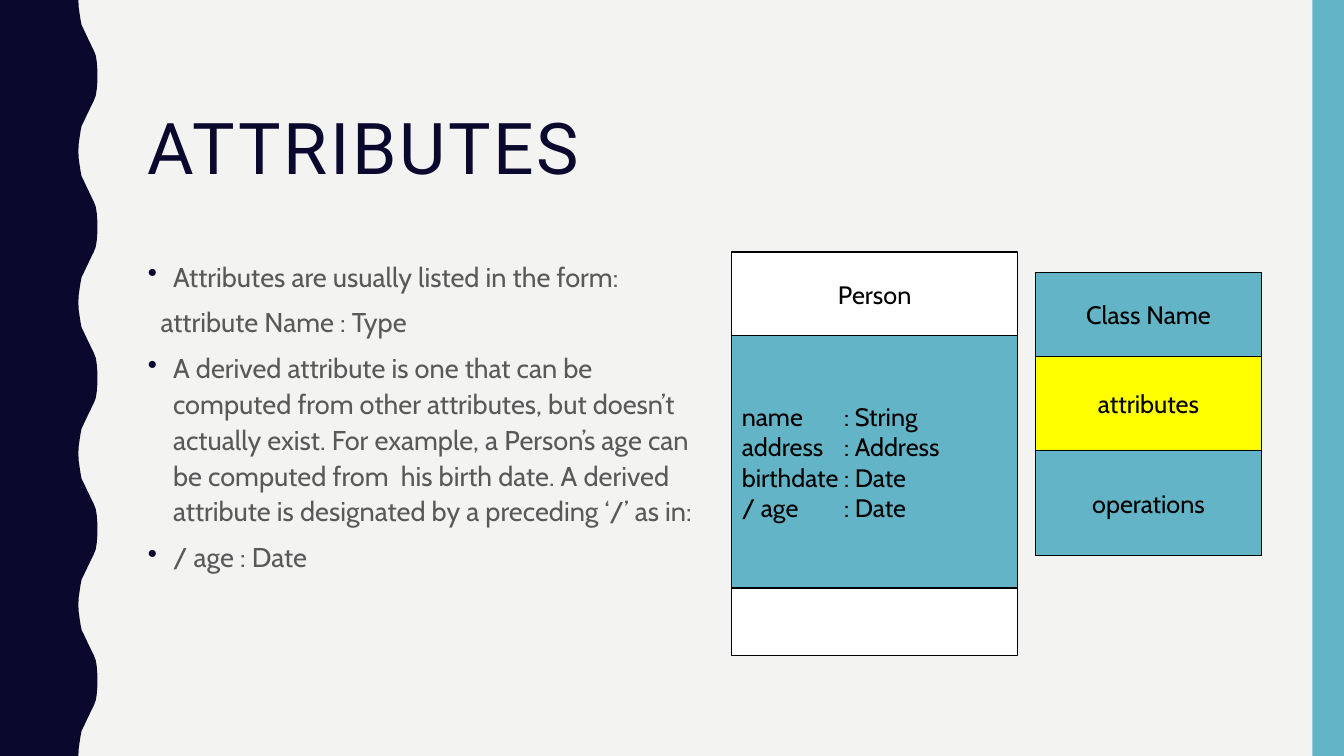
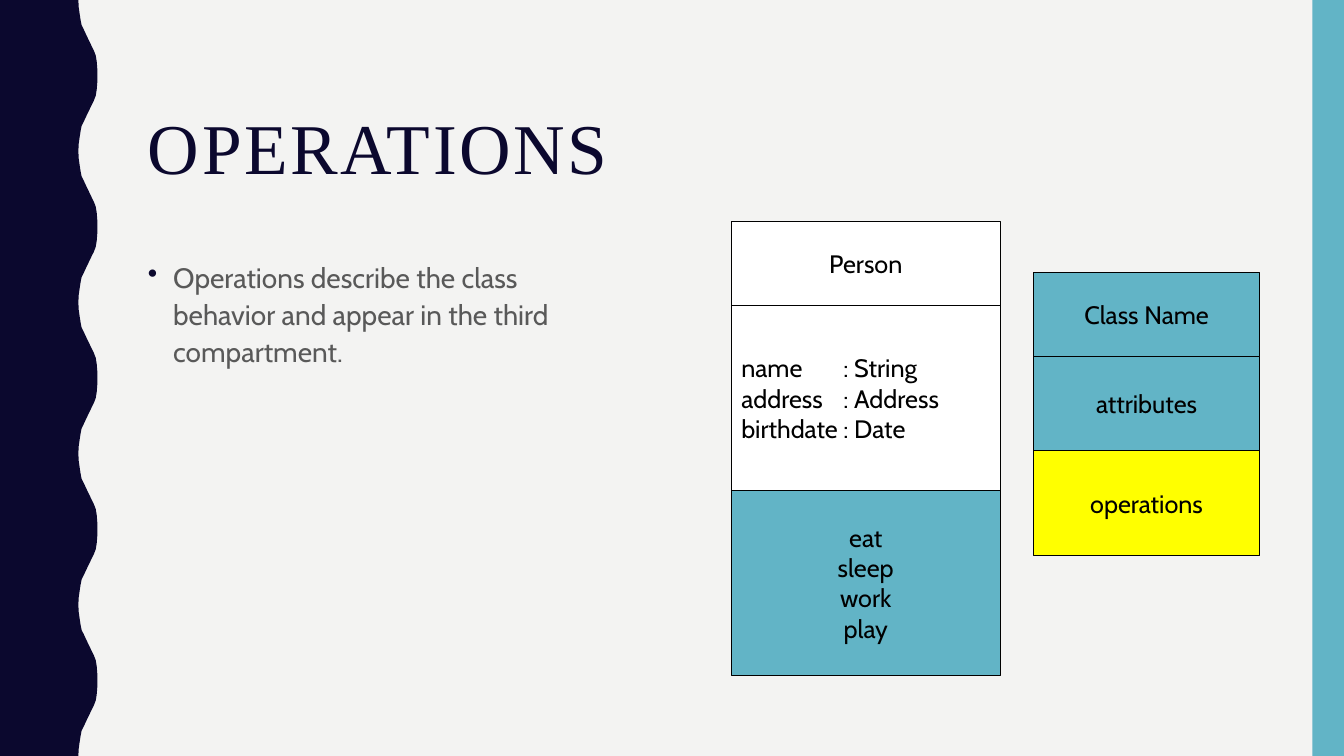
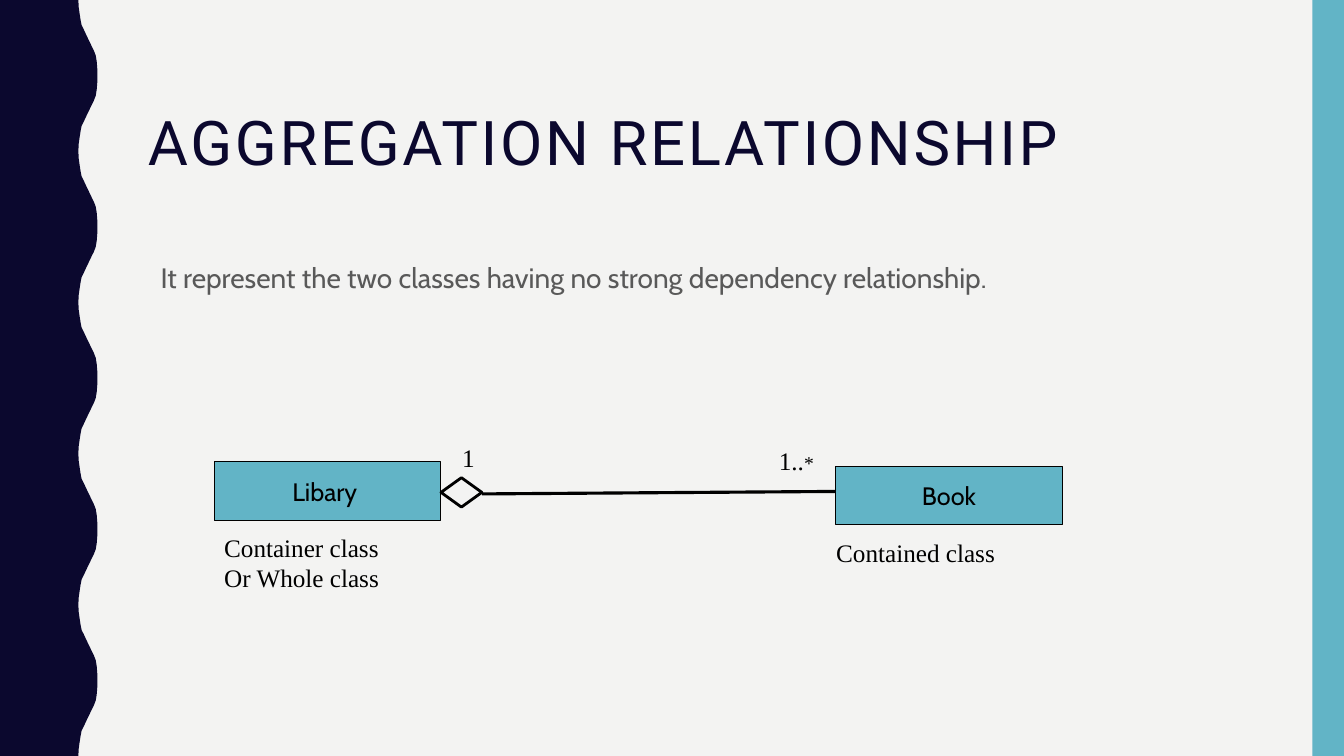
import pptx
import pptx.dml.color
import pptx.enum.shapes
import pptx.enum.text
import pptx.oxml.ns
import pptx.util
from lxml import etree

Pt = pptx.util.Pt
SHAPE = pptx.enum.shapes.MSO_SHAPE
ALIGN = pptx.enum.text.PP_ALIGN
ANCHOR = pptx.enum.text.MSO_ANCHOR

COLORS = {
    "background": "F3F3F2",
    "navy": "0B082E",
    "teal": "62B4C6",
    "yellow": "FFFF00",
    "white": "FFFFFF",
    "black": "000000",
    "gray": "595959",
}
WIDTH, HEIGHT = 960, 540
MARGIN = 98.6
BODY_TOP = 180
WAVE_PERIOD = 108
# Half a wave, from trough to crest, as (x, y)
WAVE_RISE = [
    (56, 0), (56.2, 5), (56.9, 10), (57.6, 14.4), (58.3, 18), (59.8, 21),
    (61.2, 24), (62.6, 27), (64.1, 30), (65.5, 33), (67, 36), (68.4, 39.6),
    (69.1, 43.9), (69.5, 49), (69.6, 54),
]
ATTRIBUTES = ["name\t: String", "address\t: Address", "birthdate\t: Date"]


def color(name):
    return pptx.dml.color.RGBColor.from_string(COLORS[name])


def add_element(parent, tag, **attributes):
    element = etree.SubElement(parent, pptx.oxml.ns.qn(tag))
    for key, value in attributes.items():
        element.set(key, str(value))
    return element


class Deck:
    def __init__(self):
        self.presentation = pptx.Presentation()
        self.presentation.slide_width = Pt(WIDTH)
        self.presentation.slide_height = Pt(HEIGHT)
        self.slide = None

    def new_slide(self, title, size=51, font="Roboto"):
        self.slide = self.presentation.slides.add_slide(self.presentation.slide_layouts[6])
        fill = self.slide.background.fill
        fill.solid()
        fill.fore_color.rgb = color("background")
        self.wave()
        self.box(self.slide.shapes, 937.5, 0, 22.5, HEIGHT, "teal", line_width=0)
        frame = self.text_frame(MARGIN, 77, 801, 67)
        paragraph = frame.paragraphs[0]
        paragraph.line_spacing = 0.9
        run = self.run(paragraph, title, size, font, "navy")
        run.font._element.set("spc", "190")

    def wave(self):
        fall = [(x, WAVE_PERIOD - y) for x, y in reversed(WAVE_RISE[1:-1])]
        edge = [(x, y + WAVE_PERIOD * period)
                for period in range(HEIGHT // WAVE_PERIOD)
                for x, y in WAVE_RISE + fall]
        edge += [(WAVE_RISE[0][0], HEIGHT), (0, HEIGHT)]
        builder = self.slide.shapes.build_freeform(0, 0)
        builder.add_line_segments([(Pt(x), Pt(y)) for x, y in edge], close=True)
        self.paint(builder.convert_to_shape(), "navy", 0)

    def paint(self, shape, fill, line_width):
        shape.shadow.inherit = False
        if fill:
            shape.fill.solid()
            shape.fill.fore_color.rgb = color(fill)
        else:
            shape.fill.background()
        if line_width:
            shape.line.color.rgb = color("black")
            shape.line.width = Pt(line_width)
        else:
            shape.line.fill.background()

    def box(self, shapes, left, top, width, height, fill=None, lines=(),
            align=ALIGN.CENTER, line_width=0.75, kind=SHAPE.RECTANGLE):
        shape = shapes.add_shape(kind, Pt(left), Pt(top), Pt(width), Pt(height))
        self.paint(shape, fill, line_width)
        frame = shape.text_frame
        frame.word_wrap = True
        frame.vertical_anchor = ANCHOR.MIDDLE
        for paragraph, line in self.paragraphs(frame, lines):
            paragraph.alignment = align
            self.run(paragraph, line, 18, "Cabin", "black")
            if "\t" in line:
                properties = paragraph._p.get_or_add_pPr()
                tabs = add_element(properties, "a:tabLst")
                add_element(tabs, "a:tab", pos=Pt(73), algn="l")

    def text_frame(self, left, top, width, height):
        shape = self.slide.shapes.add_textbox(Pt(left), Pt(top), Pt(width), Pt(height))
        shape.text_frame.word_wrap = True
        return shape.text_frame

    def paragraphs(self, frame, items):
        """Yield a paragraph of the frame for each item."""
        for index, item in enumerate(items):
            yield (frame.add_paragraph() if index else frame.paragraphs[0]), item

    def run(self, paragraph, text, size, font, color_name):
        run = paragraph.add_run()
        run.text = text
        run.font.size = Pt(size)
        run.font.name = font
        run.font.color.rgb = color(color_name)
        return run

    def body(self, width, height, items, size=20):
        """Write body paragraphs from (text, bulleted) pairs."""
        frame = self.text_frame(MARGIN, BODY_TOP, width, height)
        for paragraph, (text, bulleted) in self.paragraphs(frame, items):
            paragraph.line_spacing = 1.1
            paragraph.space_before = Pt(7)
            properties = paragraph._p.get_or_add_pPr()
            if bulleted:
                properties.set("marL", str(Pt(18)))
                properties.set("indent", str(Pt(-18)))
                bullet_color = add_element(properties, "a:buClr")
                add_element(bullet_color, "a:srgbClr", val=COLORS["navy"])
                add_element(properties, "a:buChar", char="•")
            else:
                properties.set("marL", str(Pt(9)))
                properties.set("indent", "0")
            self.run(paragraph, text, size, "Cabin", "gray")

    def class_diagram(self, left, top, width, compartments):
        """Stack compartments given as (height, fill, lines, alignment)."""
        group = self.slide.shapes.add_group_shape()
        for height, fill, lines, align in compartments:
            self.box(group.shapes, left, top, width, height, fill, lines, align)
            top += height

    def legend(self, left, highlighted):
        parts = [("Class Name", 60), ("attributes", 67.5), ("operations", 75)]
        self.class_diagram(left, 194.6, 162, [
            (height, "yellow" if name == highlighted else "teal", [name], ALIGN.CENTER)
            for name, height in parts])

    def label(self, left, top, width, height, lines):
        """Write lines, each a list of (text, size) runs."""
        frame = self.text_frame(left, top, width, height)
        for paragraph, runs in self.paragraphs(frame, lines):
            for text, size in runs:
                self.run(paragraph, text, size, "Times New Roman", "black")

    def line(self, start, end):
        connector = self.slide.shapes.add_connector(
            pptx.enum.shapes.MSO_CONNECTOR.STRAIGHT, *map(Pt, start + end))
        connector.line.color.rgb = color("black")
        connector.line.width = Pt(2.25)
        add_element(connector._element.spPr, "a:effectLst")


def attributes_slide(deck):
    deck.new_slide("ATTRIBUTES")
    deck.body(416, 283, [
        ("Attributes are usually listed in the form:", True),
        ("attribute Name : Type", False),
        ("A derived attribute is one that can be computed from other attributes, "
         "but doesn’t actually exist. For example, a Person’s age can be computed "
         "from  his birth date. A derived attribute is designated by a preceding "
         "‘/’ as in:", True),
        ("/ age : Date", True),
    ], size=19.4)
    deck.legend(739.4, "attributes")
    deck.class_diagram(522.8, 180, 204, [
        (60, "white", ["Person"], ALIGN.CENTER),
        (180, "teal", ATTRIBUTES + ["/ age\t: Date"], ALIGN.LEFT),
        (48, "white", [], ALIGN.CENTER),
    ])


def operations_slide(deck):
    deck.new_slide("OPERATIONS", font="Times New Roman")
    deck.body(339, 283, [
        ("Operations describe the class behavior and appear in the third compartment.", True),
    ])
    deck.legend(738, "operations")
    deck.class_diagram(522.4, 158.2, 192, [
        (60, "white", ["Person"], ALIGN.CENTER),
        (132, "white", ATTRIBUTES, ALIGN.LEFT),
        (132, "teal", ["eat", "sleep", "work", "play"], ALIGN.CENTER),
    ])


def aggregation_slide(deck):
    deck.new_slide("AGGREGATION RELATIONSHIP", size=44)
    deck.body(801, 42, [
        ("It represent the two classes having no strong dependency relationship.", False),
    ])
    deck.line((344.2, 352.8), (602.6, 351))
    shapes = deck.slide.shapes
    deck.box(shapes, 596.8, 333, 162, 42, "teal", ["Book"])
    deck.box(shapes, 153, 330, 162, 42, "teal", ["Libary "])
    deck.box(shapes, 315, 341.2, 29.2, 21, line_width=2, kind=SHAPE.FLOWCHART_DECISION)
    deck.label(323, 312.5, 29, 29, [[("1", 18)]])
    deck.label(549.2, 314.6, 48, 29, [[("1..", 18), ("*", 14)]])
    deck.label(153, 376.6, 162, 50, [[("Container class", 18)], [("Or Whole class", 18)]])
    deck.label(590.2, 380.2, 162, 29, [[("Contained class", 18)]])


def main():
    deck = Deck()
    attributes_slide(deck)
    operations_slide(deck)
    aggregation_slide(deck)
    deck.presentation.save("out.pptx")


if __name__ == "__main__":
    main()
